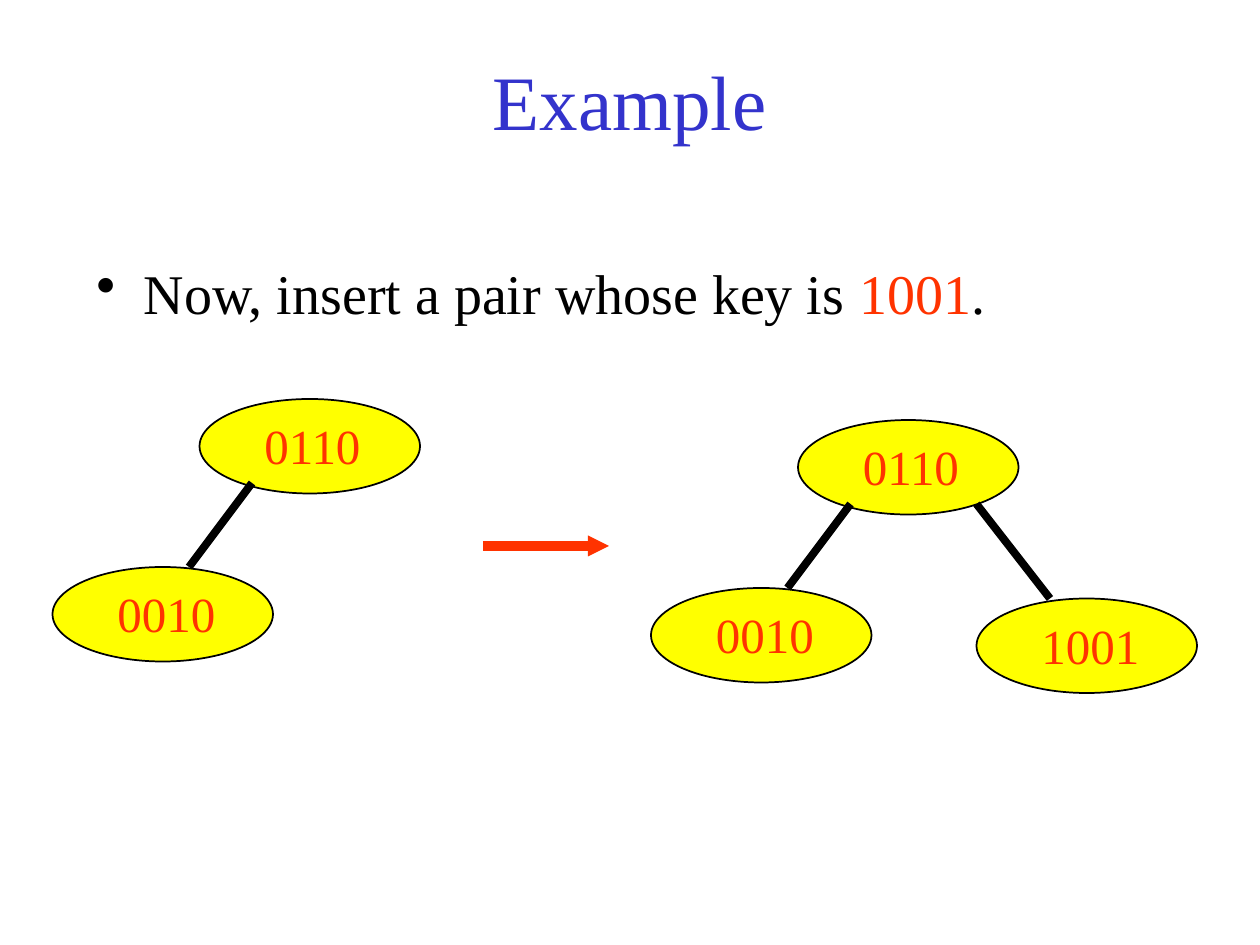
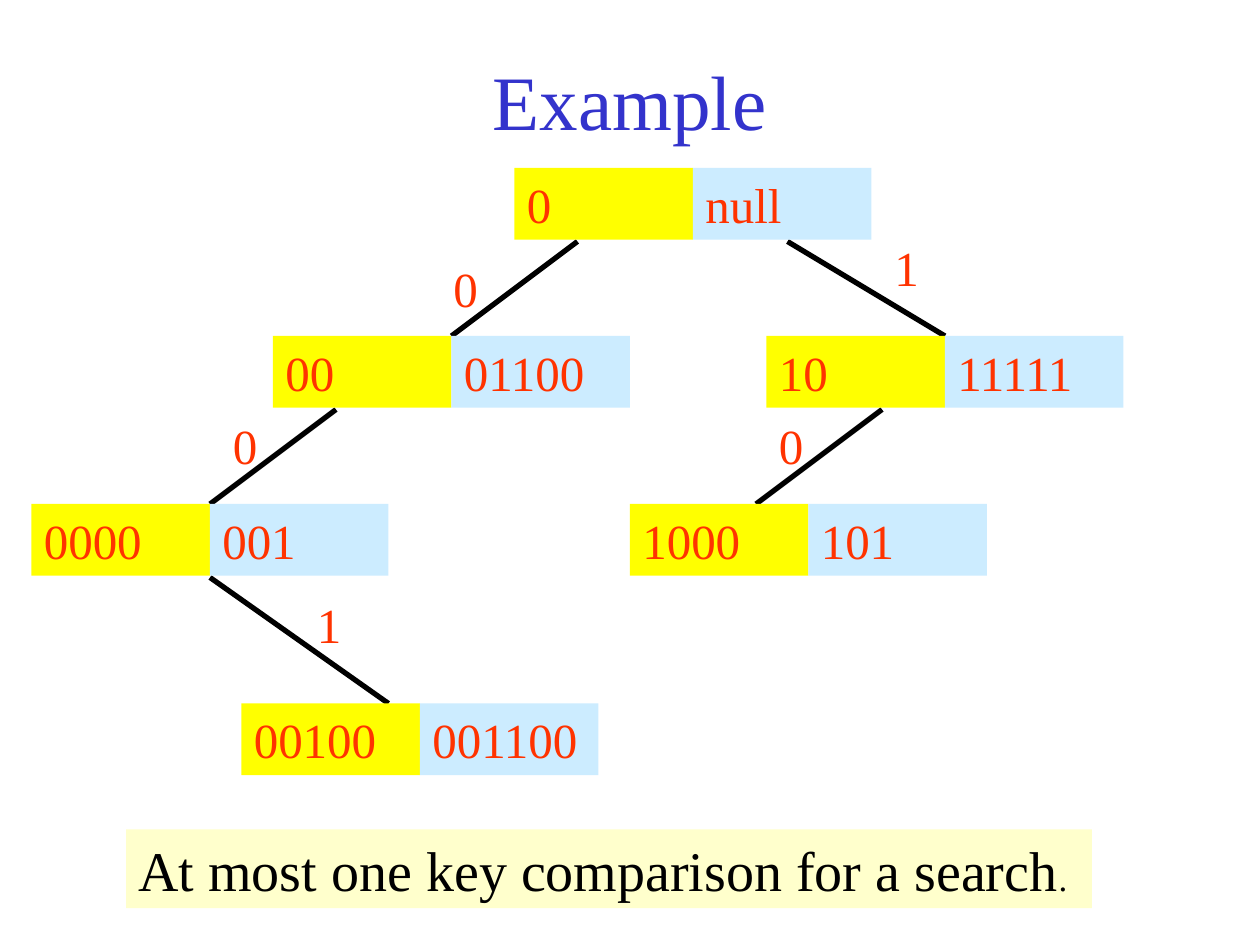
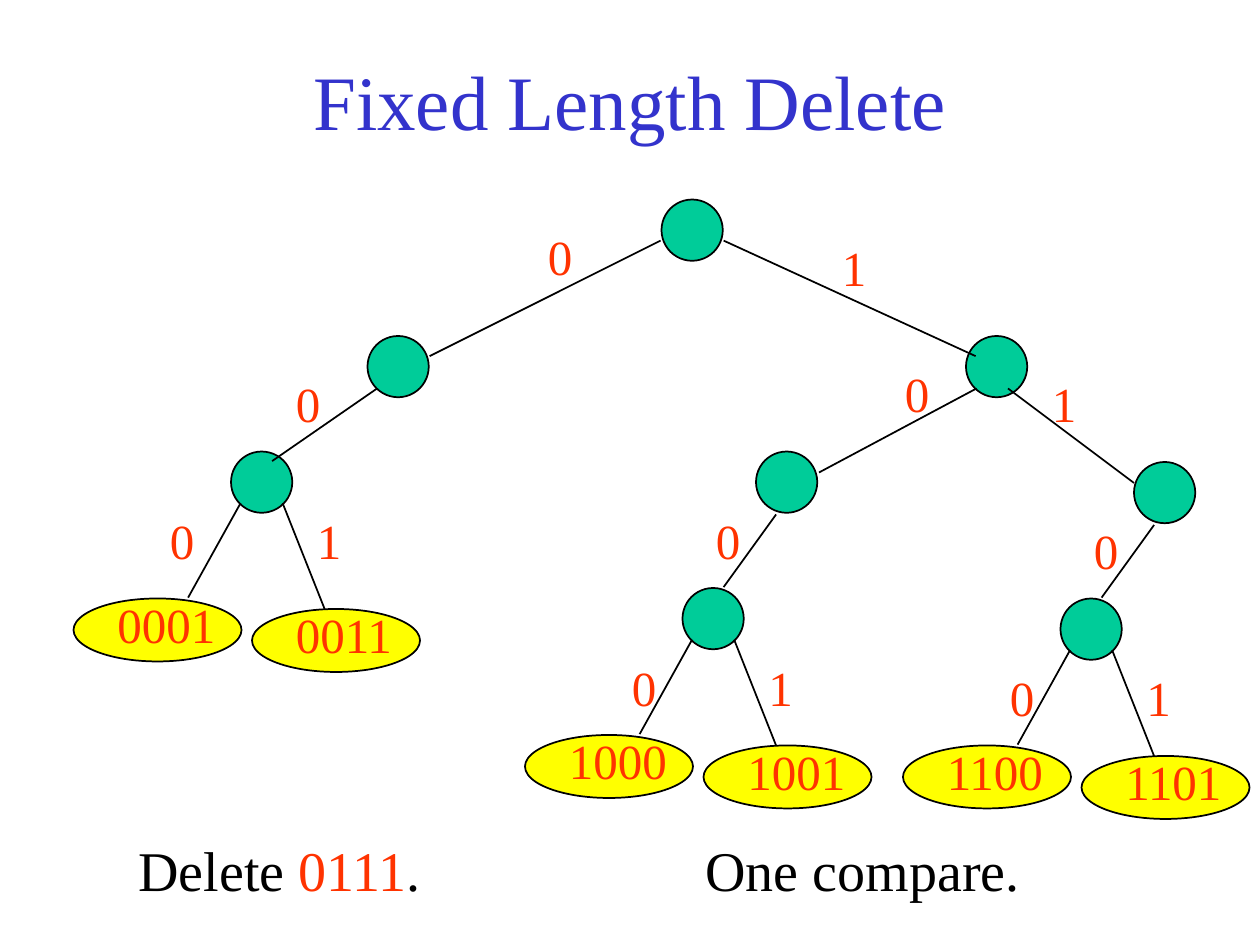
from dataclasses import dataclass

from lxml.etree import SubElement
from pptx import Presentation
from pptx.dml.color import RGBColor
from pptx.enum.shapes import MSO_CONNECTOR, MSO_SHAPE
from pptx.enum.text import MSO_ANCHOR, PP_ALIGN
from pptx.oxml.ns import qn
from pptx.util import Pt


@dataclass(frozen=True)
class Theme:
    font: str = "Times New Roman"
    title: str = "3333CC"
    ink: str = "000000"
    red: str = "FF3300"
    leaf: str = "FFFF00"
    node: str = "00CC99"
    pale: str = "CCECFF"
    cream: str = "FFFFCC"
    white: str = "FFFFFF"
    head_size: int = 44
    body_size: int = 32
    key_size: int = 28
    dot_size: int = 20


T = Theme()
ROW = 41
BAND = 45
DISC = 35


def write(frame, runs, anchor=MSO_ANCHOR.TOP, align=PP_ALIGN.LEFT):
    """Fill a text frame with (text, size, colour) runs."""
    frame.word_wrap = True
    frame.vertical_anchor = anchor
    frame.margin_left = frame.margin_right = Pt(7.2)
    frame.margin_top = frame.margin_bottom = Pt(3.6)
    para = frame.paragraphs[0]
    para.alignment = align
    for text, size, color in runs:
        run = para.add_run()
        run.text = text
        run.font.name = T.font
        run.font.size = Pt(size)
        run.font.color.rgb = RGBColor.from_string(color)
    return para


def add_text(slide, x, y, w, h, runs, **style):
    box = slide.shapes.add_textbox(Pt(x), Pt(y), Pt(w), Pt(h))
    return write(box.text_frame, runs, **style)


def add_title(slide, text):
    add_text(slide, 54, 12, 612, 90, [(text, T.head_size, T.title)],
             anchor=MSO_ANCHOR.MIDDLE, align=PP_ALIGN.CENTER)


def add_bullet(slide, x, y, w, h, runs):
    para = add_text(slide, x, y, w, h, runs)
    props = para._p.get_or_add_pPr()
    props.set("marL", str(Pt(27)))
    props.set("indent", str(-Pt(27)))
    SubElement(props, qn("a:buChar"), char="•")


def add_shape(slide, kind, x, y, w, h, fill, line=None):
    shape = slide.shapes.add_shape(kind, Pt(x), Pt(y), Pt(w), Pt(h))
    shape.shadow.inherit = False
    shape.fill.solid()
    shape.fill.fore_color.rgb = RGBColor.from_string(fill)
    if line:
        shape.line.color.rgb = RGBColor.from_string(line)
        shape.line.width = Pt(1)
    else:
        shape.line.fill.background()
    return shape


def add_rect(slide, x, y, w, h, fill, runs):
    shape = add_shape(slide, MSO_SHAPE.RECTANGLE, x, y, w, h, fill)
    write(shape.text_frame, runs)


def add_oval(slide, x, y, w, h, fill):
    add_shape(slide, MSO_SHAPE.OVAL, x, y, w, h, fill, T.ink)


def add_line(slide, start, end, width, color=T.ink, arrow=False):
    line = slide.shapes.add_connector(
        MSO_CONNECTOR.STRAIGHT, *map(Pt, start), *map(Pt, end))
    line.line.color.rgb = RGBColor.from_string(color)
    line.line.width = Pt(width)
    if arrow:
        SubElement(line.line._get_or_add_ln(), qn("a:tailEnd"),
                   type="triangle", w="sm", len="sm")
    SubElement(line._element.spPr, qn("a:effectLst"))


def add_key(slide, x, y, text, w=84):
    add_text(slide, x, y, w, ROW, [(text, T.key_size, T.red)])


def add_bit(slide, x, y, bit):
    add_key(slide, x, y, bit, 36)


def add_pill(slide, x, y, key):
    """Large key node of the small trees."""
    add_oval(slide, x, y, 126, 54, T.leaf)
    add_key(slide, x + 30, y + 6, key)


def add_leaf(slide, x, y, key):
    add_oval(slide, x, y, 96, 36, T.leaf)
    add_key(slide, x + 18, y - 6, key)


def add_root(slide, x, y):
    """Root 0110 with its left child 0010."""
    add_pill(slide, x, y, "0110")
    add_pill(slide, x - 84, y + 96, "0010")
    add_line(slide, (x + 30, y + 48), (x - 6, y + 96), 4.5)


def add_pair(slide, x, y, left, right):
    """Two cells side by side, yellow then pale blue."""
    for step, (text, fill) in enumerate([(left, T.leaf), (right, T.pale)]):
        add_rect(slide, x + 102 * step, y, 102, ROW, fill,
                 [(text, T.key_size, T.red)])


def add_disc(slide, x, y):
    add_oval(slide, x, y, DISC, DISC, T.node)


def add_fan(slide, x, y, keys, left=-36, drop=36):
    """Disc with two leaves; left and drop place the bits."""
    add_disc(slide, x, y)
    add_leaf(slide, x - 90, y + 84, keys[0])
    add_leaf(slide, x + 12, y + 90, keys[1])
    add_line(slide, (x + 5.5, y + 29.5), (x - 24.5, y + 83.5), 1)
    add_line(slide, (x + 29.5, y + 29.5), (x + 53.5, y + 90), 1)
    add_bit(slide, x + left, y + drop, "0")
    add_bit(slide, x + 42, y + drop, "1")


def add_twig(slide, x, y, keys):
    """Disc with one 0 edge down to a fan."""
    add_disc(slide, x, y)
    add_fan(slide, x - 42, y + 78, keys)
    add_line(slide, (x + 11.5, y + 36), (x - 18.5, y + 77.5), 1)
    add_bit(slide, x - 30, y + 30, "0")


def draw_insert(slide):
    add_title(slide, "Example")
    add_bullet(slide, 48, 144, 612, 54, [
        ("Now, insert a pair whose key is ", T.body_size, T.ink),
        ("1001", T.body_size, T.red),
        (".", T.body_size, T.ink)])
    add_root(slide, 114, 228)
    add_line(slide, (276, 312), (348, 312), 6, T.red, arrow=True)
    add_pill(slide, 558, 342, "1001")
    add_root(slide, 456, 240)
    add_line(slide, (558, 288), (600, 342), 4.5)


def draw_search(slide):
    add_title(slide, "Example")
    add_rect(slide, 72, 474, 552, BAND, T.cream, [
        ("At most one key comparison for a search", T.body_size, T.ink),
        (".", T.dot_size, T.ink)])
    edges = [
        ((330, 138), (258, 192)), ((450, 138), (540, 192)),
        ((192, 234), (120, 288)), ((504, 234), (432, 288)),
        ((120, 330), (222, 402))]
    for start, end in edges:
        add_line(slide, start, end, 3)
    pairs = [
        (294, 96, "0", "null"),
        (156, 192, "00", "01100"), (438, 192, "10", "11111"),
        (18, 288, "0000", "001"), (360, 288, "1000", "101"),
        (138, 402, "00100", "001100")]
    for pair in pairs:
        add_pair(slide, *pair)
    bits = [(252, 144, "0"), (504, 132, "1"), (126, 234, "0"),
            (438, 234, "0"), (174, 336, "1")]
    for bit in bits:
        add_bit(slide, *bit)


def draw_delete(slide):
    add_title(slide, "Fixed Length Delete")
    add_rect(slide, 72, 474, 234, BAND, T.white, [
        ("Delete", T.body_size, T.ink),
        (" 0111", T.body_size, T.red),
        (".", T.body_size, T.ink)])
    add_rect(slide, 396, 474, 234, BAND, T.white,
             [("One compare.", T.body_size, T.ink)])
    for x, y in [(378, 114), (210, 192), (552, 192)]:
        add_disc(slide, x, y)
    add_fan(slide, 132, 258, ("0001", "0011"), left=-42, drop=30)
    add_twig(slide, 432, 258, ("1000", "1001"))
    add_twig(slide, 648, 264, ("1100", "1101"))
    edges = [
        ((377.5, 137.5), (245.5, 203.5)), ((413.5, 137.5), (557.5, 203.5)),
        ((215.5, 222), (155.5, 263.5)), ((558, 222), (468, 270)),
        ((576, 222), (648, 276))]
    for start, end in edges:
        add_line(slide, start, end, 1)
    bits = [(306, 126, "0"), (474, 132, "1"), (162, 210, "0"),
            (510, 204, "0"), (594, 210, "1")]
    for bit in bits:
        add_bit(slide, *bit)


def main():
    deck = Presentation()
    deck.slide_width, deck.slide_height = Pt(720), Pt(540)
    for draw in (draw_insert, draw_search, draw_delete):
        draw(deck.slides.add_slide(deck.slide_layouts[6]))
    deck.save("out.pptx")


if __name__ == "__main__":
    main()
